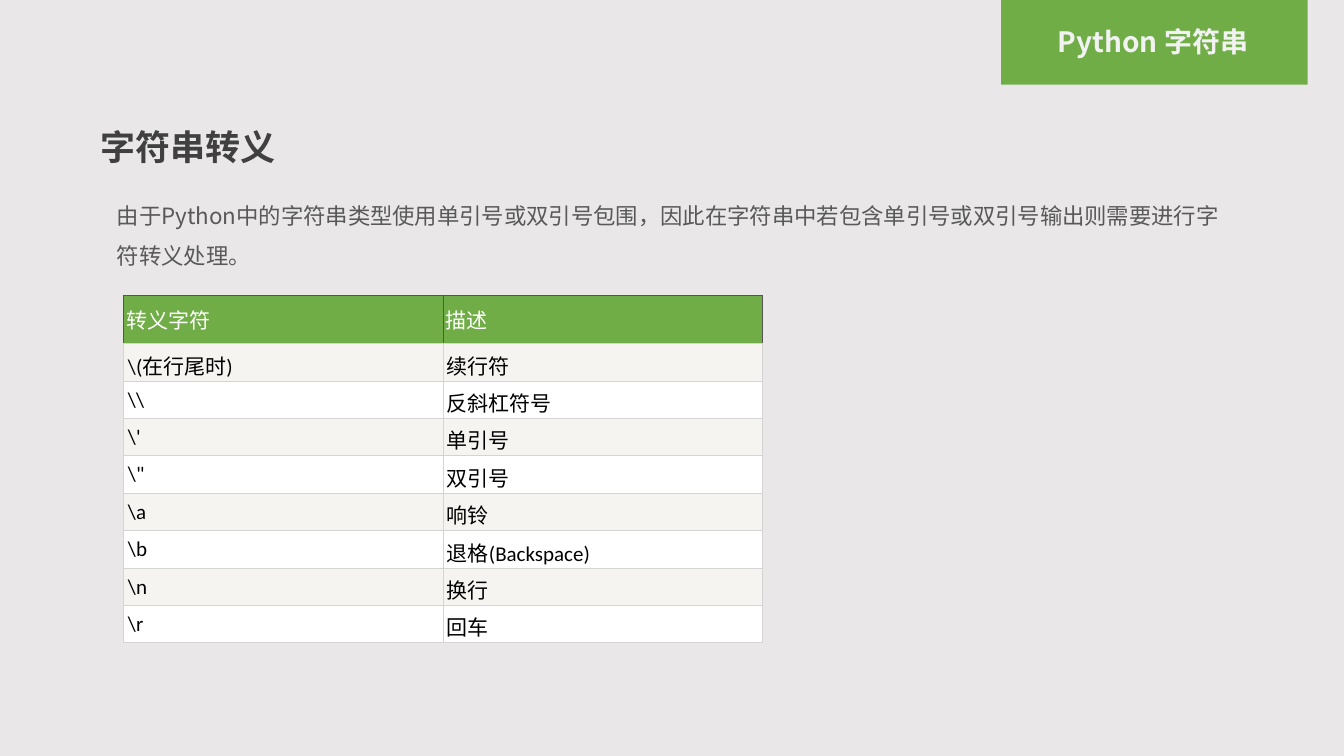
"""Build the slide on Python string escapes."""
from lxml import etree
from pptx import Presentation
from pptx import util as u
from pptx.dml.color import RGBColor
from pptx.enum import shapes, text
from pptx.oxml.ns import qn

PAPER = RGBColor(0xE9, 0xE7, 0xE7)
GREEN = RGBColor(0x70, 0xAD, 0x47)
LIGHT = RGBColor(0xF2, 0xF2, 0xF2)
DARK = RGBColor(0x40, 0x40, 0x40)
GREY = RGBColor(0x59, 0x59, 0x59)
WHITE = RGBColor(0xFF, 0xFF, 0xFF)
BLACK = RGBColor(0x00, 0x00, 0x00)
BAND = RGBColor(0xF6, 0xF4, 0xF0)
RULE = RGBColor(0xD4, 0xD4, 0xD4)
HEAD_RULE = RGBColor(0x55, 0x55, 0x55)
SANS = "Noto Sans CJK SC"

prs = Presentation()
prs.slide_width, prs.slide_height = u.Inches(13.33), u.Inches(7.5)
s = prs.slides.add_slide(prs.slide_layouts[6])
s.background.fill.solid()
s.background.fill.fore_color.rgb = PAPER


def share(left, top, width, height):
    """Turn percentages of the slide into a box."""
    W, H = prs.slide_width, prs.slide_height
    return [int(n * side / 100) for n, side in zip((left, top, width, height), (W, H, W, H))]


def write(tf, words, size, color, font=SANS, bold=False, **para):
    """Put one formatted run in the first paragraph."""
    p = tf.paragraphs[0]
    for key, value in para.items():
        setattr(p, key, value)
    r = p.add_run()
    r.text = words
    for key, value in {"size": u.Pt(size), "name": font, "bold": bold}.items():
        setattr(r.font, key, value)
    r.font.color.rgb = color
    etree.SubElement(r._r.get_or_add_rPr(), qn("a:ea"), typeface=SANS)


badge = s.shapes.add_shape(shapes.MSO_SHAPE.RECTANGLE, *share(74.5, 0, 22.8, 11.2))
badge.shadow.inherit = False
badge.fill.solid()
badge.fill.fore_color.rgb = GREEN
badge.line.fill.background()

FIT, FIXED = text.MSO_AUTO_SIZE.SHAPE_TO_FIT_TEXT, text.MSO_AUTO_SIZE.NONE
boxes = [
    ((74.55, 3.07, 22.5, 5.6), True, FIXED, "Python 字符串",
     dict(size=20, color=LIGHT, bold=True, alignment=text.PP_ALIGN.CENTER,
          line_spacing=0.9, space_before=u.Pt(10))),
    ((7.95, 24.27, 83.7, 12.13), True, FIT,
     "由于Python中的字符串类型使用单引号或双引号包围，因此在字符串中若包含单引号或双引号输出则需要进行字符转义处理。",
     dict(size=16, color=GREY, line_spacing=1.5)),
    ((6.75, 16, 14.7, 6.93), False, FIT, "字符串转义",
     dict(size=25, color=DARK, bold=True)),
]
for place, wrap, fit, words, style in boxes:
    tf = s.shapes.add_textbox(*share(*place)).text_frame
    tf.word_wrap, tf.auto_size = wrap, fit
    write(tf, words, **style)

escapes = [
    ("转义字符", "描述"),
    ("\\(在行尾时)", "续行符"),
    ("\\\\", "反斜杠符号"),
    ("\\'", "单引号"),
    ('\\"', "双引号"),
    ("\\a", "响铃"),
    ("\\b", "退格(Backspace)"),
    ("\\n", "换行"),
    ("\\r", "回车"),
]
place = share(9.22, 39.07, 47.48, 46)
table = s.shapes.add_table(len(escapes), 2, *place).table
head_height = u.Inches(0.48)
for i, (row, words) in enumerate(zip(table.rows, escapes)):
    head = i == 0
    row.height = head_height if head else (place[3] - head_height) // (len(escapes) - 1)
    fill = GREEN if head else BAND if i % 2 else WHITE
    pad_x, pad_y = (0.03, 0.03) if head else (0.04, 0.06)
    for cell, word in zip(row.cells, words):
        cell.margin_left = cell.margin_right = u.Inches(pad_x)
        cell.margin_top = cell.margin_bottom = u.Inches(pad_y)
        cell.vertical_anchor = text.MSO_ANCHOR.MIDDLE if head else text.MSO_ANCHOR.TOP
        for side in "LRTB":
            ln = etree.SubElement(cell._tc.get_or_add_tcPr(), qn(f"a:ln{side}"), w=str(u.Pt(0.75)))
            rule = HEAD_RULE if head and side != "B" else RULE
            etree.SubElement(etree.SubElement(ln, qn("a:solidFill")), qn("a:srgbClr"), val=str(rule))
        cell.fill.solid()
        cell.fill.fore_color.rgb = fill
        write(cell.text_frame, word, 15, WHITE if head else BLACK, font="Calibri")

prs.save("out.pptx")
